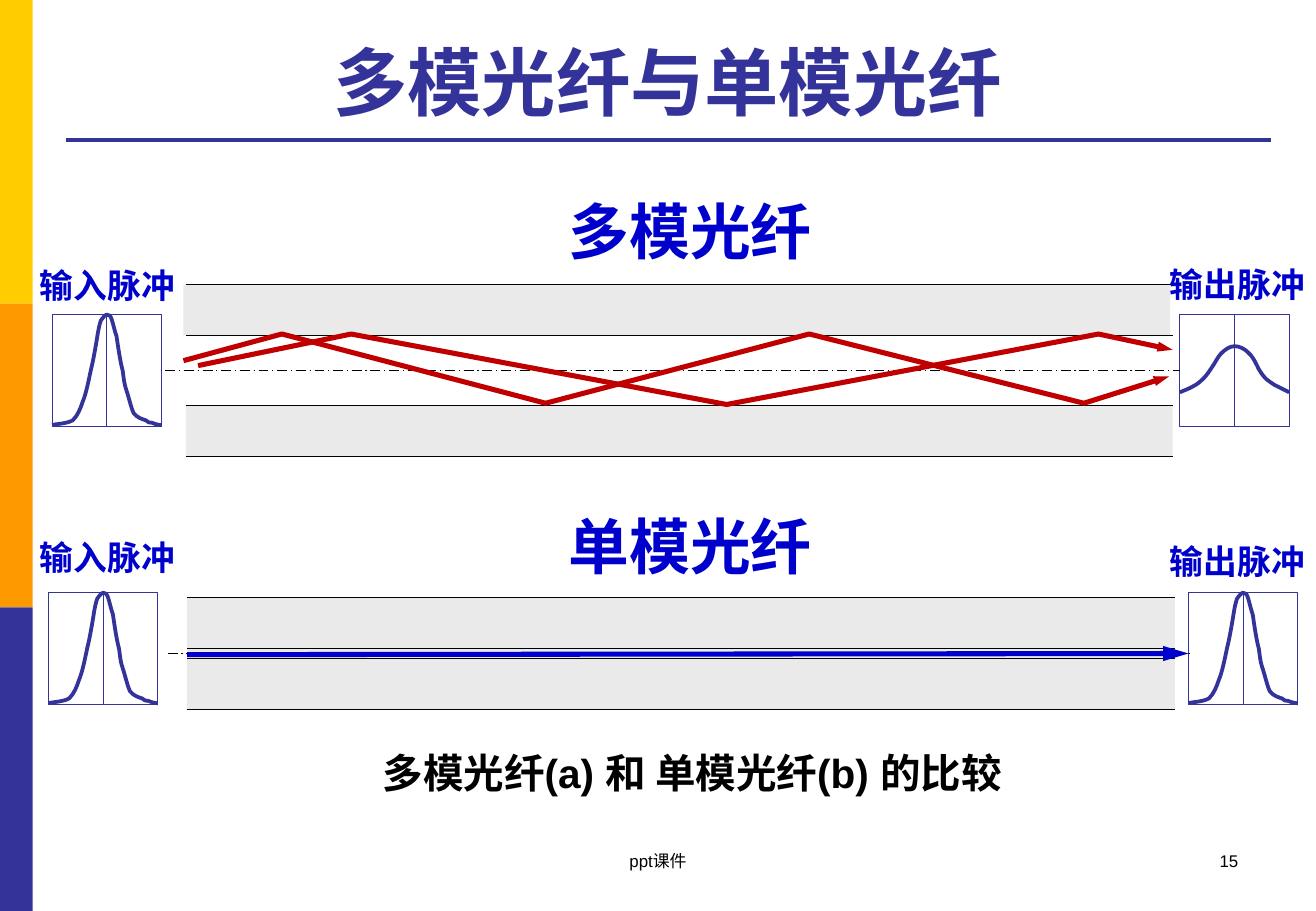
from lxml import etree
from pptx import Presentation
from pptx.dml.color import RGBColor
from pptx.enum import dml, shapes, text
from pptx.oxml import ns
from pptx.util import Inches, Pt

INDIGO, BLUE, RED, BLACK = "333399", "0000CC", "C00000", "000000"
GREY, WHITE = "EAEAEA", "FFFFFF"
LEFT, CENTER, RIGHT = text.PP_ALIGN.LEFT, text.PP_ALIGN.CENTER, text.PP_ALIGN.RIGHT
FRAME_WIDTH, FRAME_HEIGHT, CLADDING = 0.9, 0.92, 0.42
SLIM_HEAD, LONG_HEAD = ("sm", "med"), ("med", "lg")

# Bezier points of each pulse, measured from the corner of its frame
NARROW_PULSE = [
    (0, .91), (.02, .9), (.12, .9), (.17, .87), (.21, .83), (.23, .78), (.25, .72),
    (.28, .65), (.3, .54), (.32, .45), (.34, .37), (.36, .25), (.37, .19),
    (.38, .12), (.39, .08), (.4, .05), (.42, .02), (.44, 0), (.45, 0),
    (.47, 0), (.48, .01), (.49, .04), (.5, .07), (.51, .12), (.53, .18),
    (.54, .25), (.56, .39), (.58, .46), (.59, .53), (.59, .56), (.61, .62),
    (.63, .68), (.65, .77), (.67, .81), (.7, .85), (.74, .86), (.77, .87),
    (.79, .89), (.8, .89), (.82, .89), (.84, .9), (.88, .91), (.9, .91)]
WIDE_PULSE = [
    (0, .64), (.02, .63), (.08, .61), (.11, .59), (.15, .57), (.17, .55), (.2, .52),
    (.22, .5), (.24, .47), (.26, .44), (.29, .4), (.31, .35), (.34, .32),
    (.37, .29), (.41, .26), (.45, .26), (.49, .26), (.53, .28), (.56, .31),
    (.6, .34), (.63, .41), (.65, .45), (.67, .48), (.68, .5), (.7, .52),
    (.72, .54), (.75, .56), (.78, .58), (.82, .6), (.88, .63), (.9, .64)]


def style_line(shape, color, width, head=None):
    """Set the stroke; head is the width and length of an arrowhead at the end."""
    shape.line.color.rgb = RGBColor.from_string(color)
    shape.line.width = Pt(width)
    if head:
        etree.SubElement(shape.line._get_or_add_ln(), ns.qn("a:tailEnd"),
                         type="triangle", w=head[0], len=head[1])


def write_text(shape, wording, size, color, bold, align, wrap):
    shape.text_frame.word_wrap = wrap
    shape.text_frame.auto_size = text.MSO_AUTO_SIZE.NONE
    paragraph = shape.text_frame.paragraphs[0]
    paragraph.alignment = align
    run = paragraph.add_run()
    run.text = wording
    run.font.name, run.font.size, run.font.bold = "Arial", Pt(size), bold
    run.font.color.rgb = RGBColor.from_string(color)


presentation = Presentation()
presentation.slide_width, presentation.slide_height = Inches(10.83), Inches(7.5)
slide = presentation.slides.add_slide(presentation.slide_layouts[5])

title = slide.shapes.title
title.left, title.top = Inches(0.54), Inches(0.21)
title.width, title.height = Inches(9.91), Inches(0.87)
title.text_frame.vertical_anchor = text.MSO_ANCHOR.BOTTOM
write_text(title, "多模光纤与单模光纤", 44, INDIGO, True, CENTER, True)

# Side bars, claddings and the core of the single-mode fibre
blocks = [(0, 2.5 * row, 0.27, 2.5, color, None)
          for row, color in enumerate(["FFCC00", "FF9900", INDIGO])]
blocks += [(1.54, 5.09, 8.13, 0.58, GREY, None),
           (1.51, 2.34, 8.12, CLADDING, GREY, None),
           (1.53, 3.34, 8.12, CLADDING, GREY, None),
           (1.54, 4.92, 8.13, CLADDING, GREY, None),
           (1.54, 5.42, 8.13, CLADDING, GREY, None)]

lines = [(0.54, 1.15, 10.46, 1.15, INDIGO, 2.25, False, None)]
for start, end, claddings in [(1.53, 9.65, (2.34, 3.34)), (1.54, 9.67, (4.92, 5.42))]:
    for top in claddings:
        for y in (top, top + CLADDING):
            lines.append((start, y, end, y, BLACK, 0.75, False, None))
lines += [(1.36, 3.05, 9.71, 3.05, BLACK, 0.75, True, None),
          (1.38, 5.38, 9.8, 5.38, BLACK, 0.75, True, None),
          (1.54, 5.39, 9.78, 5.38, BLUE, 3, False, LONG_HEAD)]

# Points, colour, width, arrowhead, curved
outlines = [
    ([(1.63, 3.01), (2.89, 2.75), (5.98, 3.33), (9.04, 2.75), (9.65, 2.88)],
     RED, 3, SLIM_HEAD, False),
    ([(1.51, 2.97), (2.32, 2.75), (4.49, 3.32), (6.66, 2.75), (8.92, 3.32), (9.62, 3.1)],
     RED, 3, SLIM_HEAD, False)]

# Each pulse is a frame, a centre line and a curve
for left, top, pulse, frame_line in [(0.43, 2.59, NARROW_PULSE, 0.75),
                                     (9.71, 2.59, WIDE_PULSE, 0.75),
                                     (0.4, 4.88, NARROW_PULSE, 0.5),
                                     (9.78, 4.88, NARROW_PULSE, 0.5)]:
    middle = left + FRAME_WIDTH / 2
    blocks.append((left, top, FRAME_WIDTH, FRAME_HEIGHT, WHITE, frame_line))
    lines.append((middle, top, middle, top + FRAME_HEIGHT, INDIGO, 0.5, False, None))
    outlines.append(([(left + x, top + y) for x, y in pulse], INDIGO, 2.25, None, True))

for left, top, width, height, color, frame_line in blocks:
    block = slide.shapes.add_shape(shapes.MSO_SHAPE.RECTANGLE, Inches(left), Inches(top),
                                   Inches(width), Inches(height))
    block.shadow.inherit = False
    block.fill.solid()
    block.fill.fore_color.rgb = RGBColor.from_string(color)
    if frame_line:
        style_line(block, INDIGO, frame_line)
    else:
        block.line.fill.background()

for x1, y1, x2, y2, color, width, dashed, head in lines:
    line = slide.shapes.add_connector(shapes.MSO_CONNECTOR.STRAIGHT, Inches(x1), Inches(y1),
                                      Inches(x2), Inches(y2))
    style_line(line, color, width, head)
    if dashed:
        line.line.dash_style = dml.MSO_LINE.LONG_DASH_DOT
    etree.SubElement(line._element.spPr, ns.qn("a:effectLst"))

for points, color, width, head, curved in outlines:
    corners = [(Inches(x), Inches(y)) for x, y in points]
    builder = slide.shapes.build_freeform(*corners[0])
    builder.add_line_segments(corners[1:], close=False)
    outline = builder.convert_to_shape()
    outline.shadow.inherit = False
    outline.fill.background()
    style_line(outline, color, width, head)
    if curved:
        # Every three straight segments become one Bezier segment
        segments = list(outline._element.iter(ns.qn("a:lnTo")))
        for index in range(0, len(segments), 3):
            bezier = etree.Element(ns.qn("a:cubicBezTo"))
            segments[index].addprevious(bezier)
            for segment in segments[index:index + 3]:
                bezier.append(segment[0])
                segment.getparent().remove(segment)

for left, top, width, height, wording, size, color, bold, align, wrap in [
        (4.58, 1.55, 2.22, 0.71, "多模光纤", 36, BLUE, True, LEFT, False),
        (4.58, 4.14, 2.22, 0.71, "单模光纤", 36, BLUE, True, LEFT, False),
        (0.23, 2.13, 1.32, 0.44, "输入脉冲", 20, BLUE, True, LEFT, False),
        (9.53, 2.12, 1.32, 0.44, "输出脉冲", 20, BLUE, True, LEFT, False),
        (0.23, 4.37, 1.32, 0.44, "输入脉冲", 20, BLUE, True, LEFT, False),
        (9.53, 4.4, 1.32, 0.44, "输出脉冲", 20, BLUE, True, LEFT, False),
        (2.27, 6.11, 6.85, 0.51, "多模光纤(a) 和 单模光纤(b) 的比较", 24, BLACK, True, CENTER, True),
        (3.7, 6.95, 3.43, 0.5, "ppt课件", 10, BLACK, False, CENTER, True),
        (7.76, 6.95, 2.53, 0.5, "15", 10, BLACK, False, RIGHT, True)]:
    label = slide.shapes.add_textbox(Inches(left), Inches(top), Inches(width), Inches(height))
    write_text(label, wording, size, color, bold, align, wrap)

presentation.save("out.pptx")
